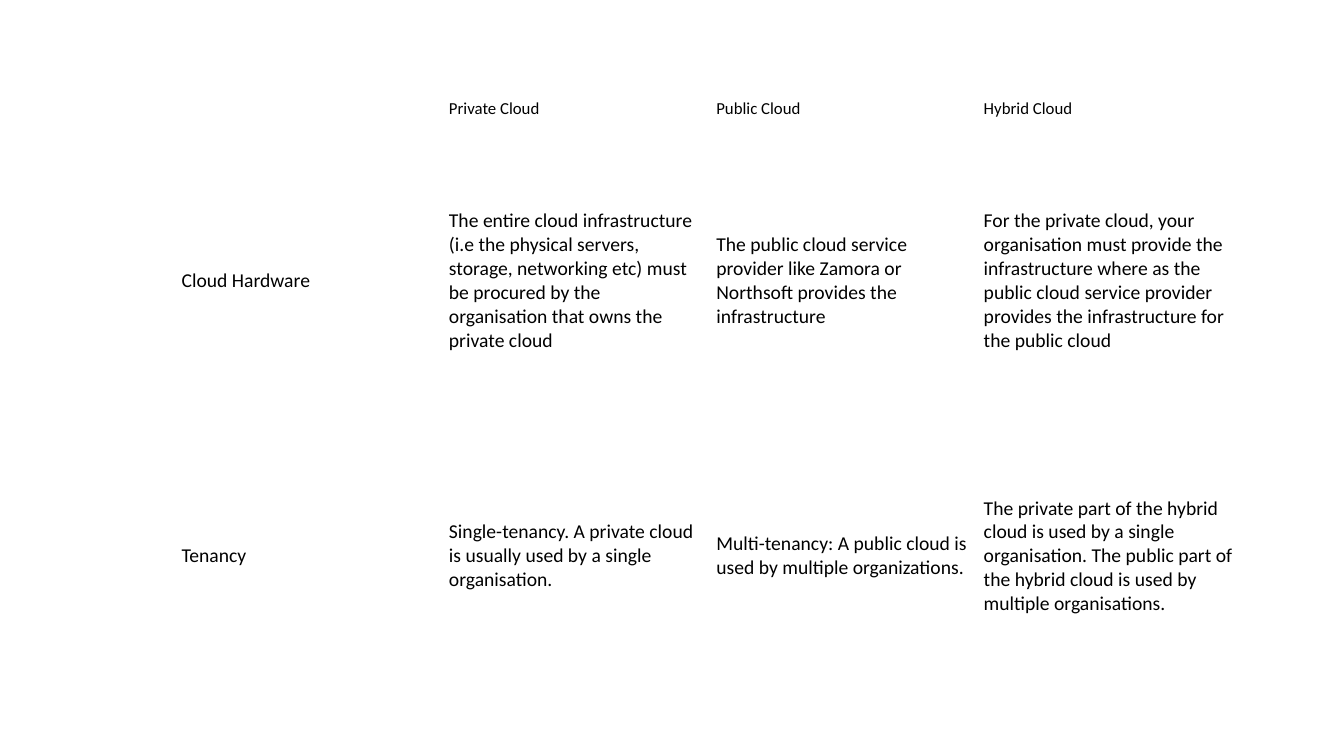
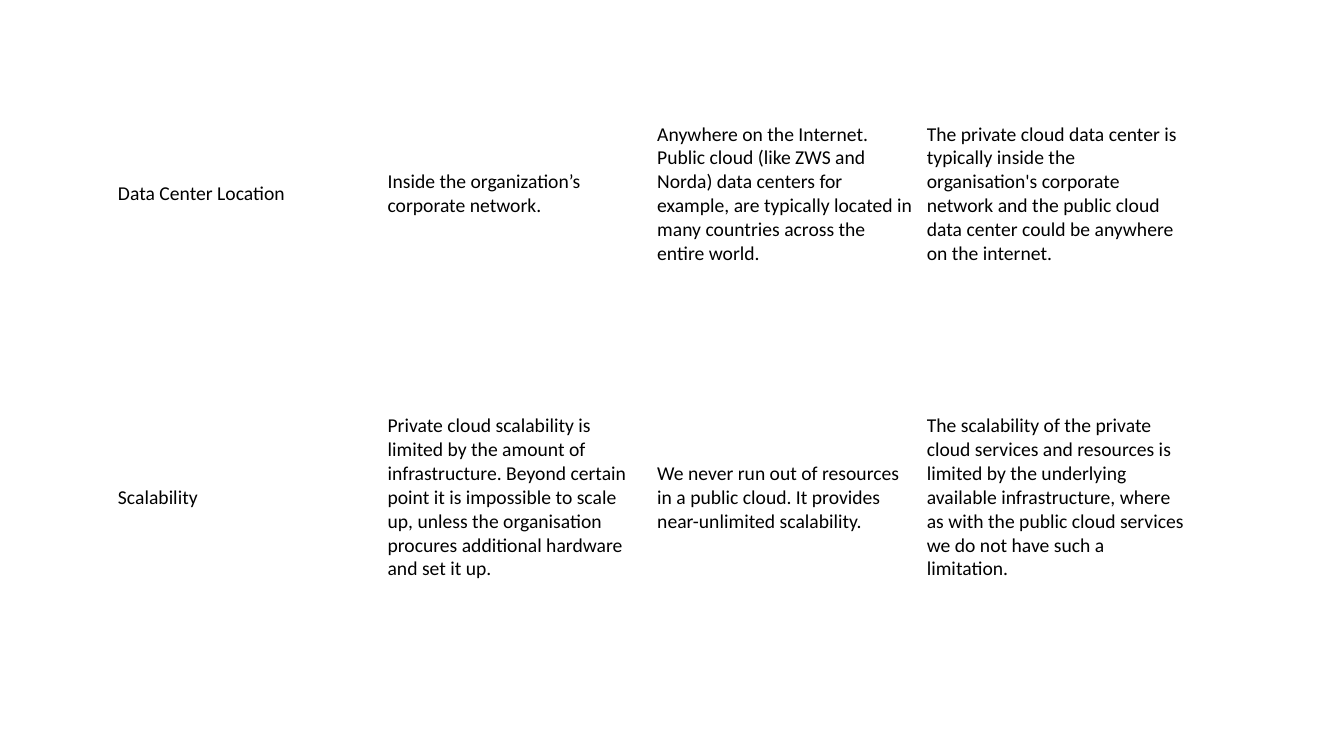
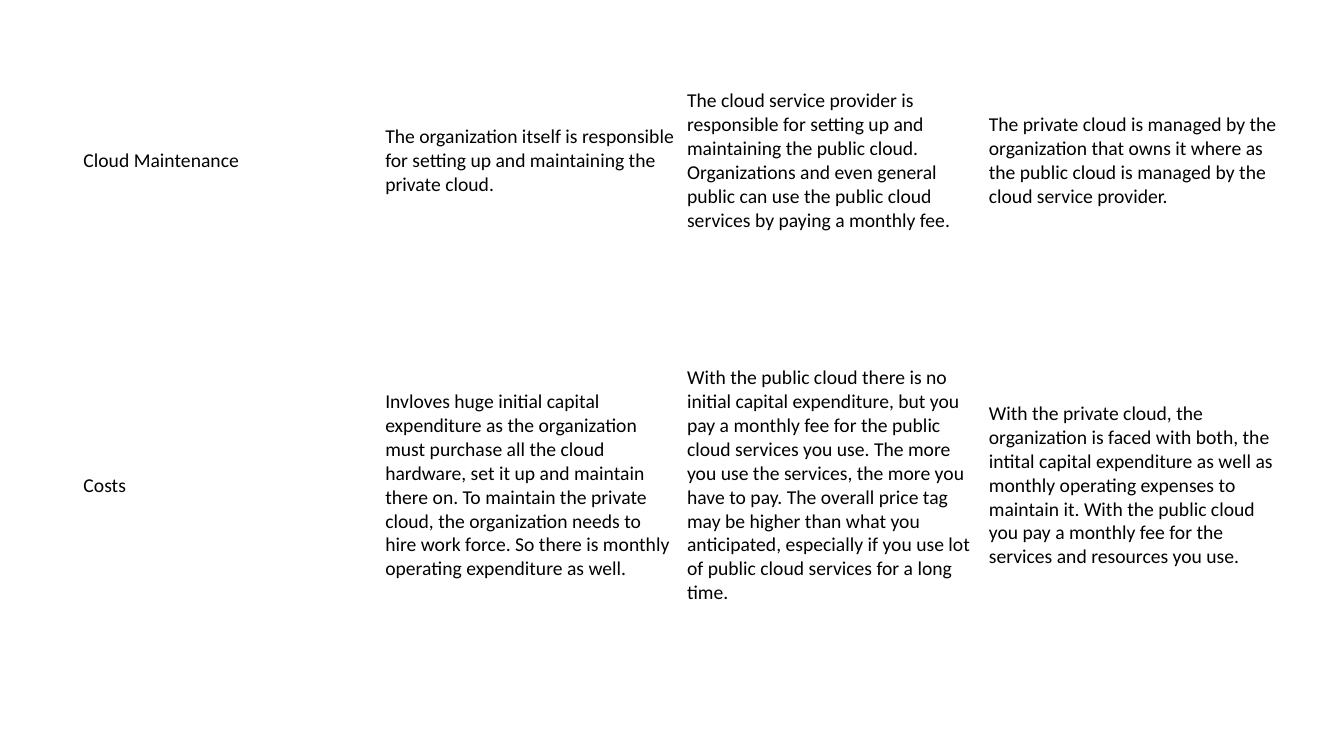
"""Build three slides of borderless tables comparing private, public and hybrid clouds."""
import pptx
import pptx.dml.color
import pptx.enum.text
import pptx.util

COLORS = {"background": "FFFFFF", "text": "000000"}
FONT = "Calibri"
BODY_SIZE = 14
HEADER_SIZE = 12

HARDWARE_AND_TENANCY = [
    ["", "Private Cloud", "Public Cloud", "Hybrid Cloud"],
    [
        "Cloud Hardware",
        "The entire cloud infrastructure (i.e the physical servers, storage, networking etc) "
        "must be procured by the organisation that owns the private cloud",
        "The public cloud service provider like Zamora or Northsoft provides the infrastructure",
        "For the private cloud, your organisation must provide the infrastructure where as the "
        "public cloud service provider provides the infrastructure for the public cloud",
    ],
    [
        "Tenancy",
        "Single-tenancy. A private cloud is usually used by a single organisation.",
        "Multi-tenancy: A public cloud is used by multiple organizations.",
        "The private part of the hybrid cloud is used by a single organisation. "
        "The public part of the hybrid cloud is used by multiple organisations.",
    ],
]

LOCATION_AND_SCALABILITY = [
    [
        "Data Center Location",
        "Inside the organization’s corporate network.",
        "Anywhere on the Internet. Public cloud (like ZWS and Norda) data centers for example, "
        "are typically located in many countries across the entire world.",
        "The private cloud data center is typically inside the organisation's corporate network "
        "and the public cloud data center could be anywhere on the internet.",
    ],
    [
        "Scalability",
        "Private cloud scalability is limited by the amount of infrastructure. Beyond certain "
        "point it is impossible to scale up, unless the organisation procures additional "
        "hardware and set it up.",
        "We never run out of resources in a public cloud. It provides near-unlimited scalability.",
        "The scalability of the private cloud services and resources is limited by the underlying "
        "available infrastructure, where as with the public cloud services we do not have such "
        "a limitation.",
    ],
]

MAINTENANCE_AND_COSTS = [
    [
        "Cloud Maintenance",
        "The organization itself is responsible for setting up and maintaining the private cloud.",
        "The cloud service provider is responsible for setting up and maintaining the public "
        "cloud. Organizations and even general public can use the public cloud services by "
        "paying a monthly fee.",
        "The private cloud is managed by the organization that owns it where as the public cloud "
        "is managed by the cloud service provider.",
    ],
    [
        "Costs",
        "Invloves huge initial capital expenditure as the organization must purchase all the "
        "cloud hardware, set it up and maintain there on. To maintain the private cloud, the "
        "organization needs to hire work force. So there is monthly operating expenditure as well.",
        "With the public cloud there is no initial capital expenditure, but you pay a monthly fee "
        "for the public cloud services you use. The more you use the services, the more you have "
        "to pay. The overall price tag may be higher than what you anticipated, especially if you "
        "use lot of public cloud services for a long time.",
        "With the private cloud, the organization is faced with both, the intital capital "
        "expenditure as well as monthly operating expenses to maintain it. With the public cloud "
        "you pay a monthly fee for the services and resources you use.",
    ],
]


class Deck:
    def __init__(self):
        self.presentation = pptx.Presentation()
        self.presentation.slide_width = pptx.util.Pt(960)
        self.presentation.slide_height = pptx.util.Pt(540)
        self.slide = None

    def color(self, name):
        return pptx.dml.color.RGBColor.from_string(COLORS[name])

    def add_slide(self):
        self.slide = self.presentation.slides.add_slide(self.presentation.slide_layouts[6])
        fill = self.slide.background.fill
        fill.solid()
        fill.fore_color.rgb = self.color("background")

    def add_table(self, rows, left, top, column_width, row_heights, inset, has_header=False):
        column_count = len(rows[0])
        table = self.slide.shapes.add_table(
            len(rows), column_count,
            pptx.util.Pt(left), pptx.util.Pt(top),
            pptx.util.Pt(column_width * column_count), pptx.util.Pt(sum(row_heights)),
        ).table
        table.first_row = False
        table.horz_banding = False
        for column in table.columns:
            column.width = pptx.util.Pt(column_width)
        for index, (texts, height) in enumerate(zip(rows, row_heights)):
            table.rows[index].height = pptx.util.Pt(height)
            size = HEADER_SIZE if has_header and index == 0 else BODY_SIZE
            for cell, text in zip(table.rows[index].cells, texts):
                self.fill_cell(cell, text, size, inset)

    def fill_cell(self, cell, text, size, inset):
        cell.fill.solid()
        cell.fill.fore_color.rgb = self.color("background")
        cell.vertical_anchor = pptx.enum.text.MSO_ANCHOR.MIDDLE
        margin = pptx.util.Pt(inset)
        cell.margin_left = cell.margin_right = margin
        cell.margin_top = cell.margin_bottom = margin
        paragraph = cell.text_frame.paragraphs[0]
        paragraph.text = text
        paragraph.font.name = FONT
        paragraph.font.size = pptx.util.Pt(size)
        paragraph.font.color.rgb = self.color("text")


def main():
    deck = Deck()
    deck.add_slide()
    deck.add_table(HARDWARE_AND_TENANCY, 124.5, 62, 191, [31, 215, 178.5], 5.2, has_header=True)
    deck.add_slide()
    deck.add_table(LOCATION_AND_SCALABILITY, 80, 42.5, 192.6, [192, 242], 4.3)
    deck.add_slide()
    deck.add_table(MAINTENANCE_AND_COSTS, 56, 22.3, 215.6, [185, 279], 3.6)
    deck.presentation.save("out.pptx")


if __name__ == "__main__":
    main()
